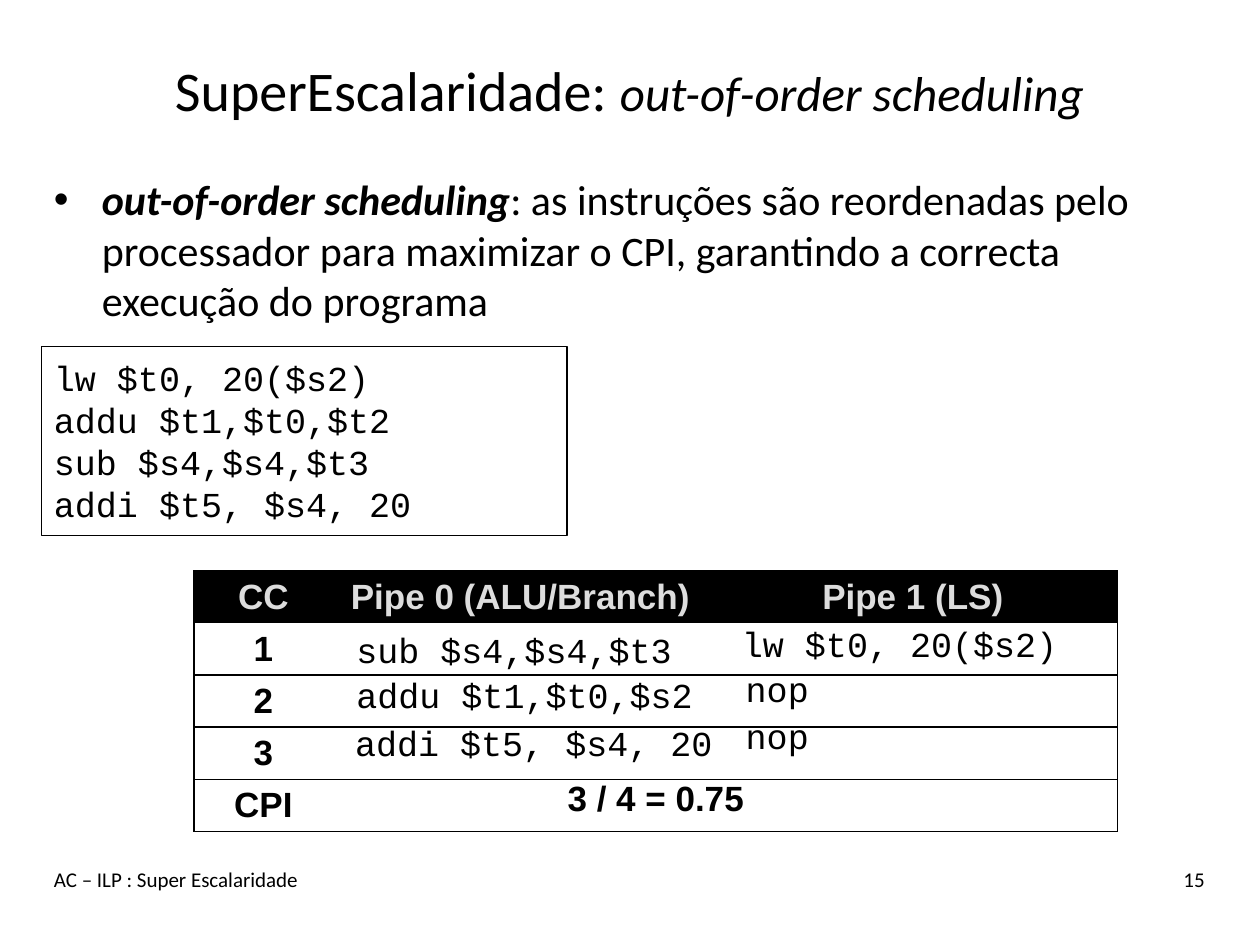
from lxml.etree import SubElement
from pptx import Presentation
from pptx.dml.color import RGBColor
from pptx.enum.shapes import MSO_SHAPE
from pptx.enum.text import MSO_ANCHOR, PP_ALIGN
from pptx.oxml.ns import qn
from pptx.util import Pt

EMU_PER_PX = 9144  # 100 px to the inch
BLACK, GREY = "000000", "DDDDDD"
BODY = {"name": "Calibri", "size": Pt(24)}
FOOTER = {"name": "Calibri", "size": Pt(12)}
CODE = {"name": "Courier New", "size": Pt(20)}
LABEL = {"name": "Arial", "size": Pt(20), "bold": True}
LEFT, CENTER, RIGHT = PP_ALIGN.LEFT, PP_ALIGN.CENTER, PP_ALIGN.RIGHT
TOP, MIDDLE = MSO_ANCHOR.TOP, MSO_ANCHOR.MIDDLE


def px(length):
    return length * EMU_PER_PX


def color(value):
    return RGBColor.from_string(value)


class SlideBuilder:
    def __init__(self, slide, ink=BLACK, line_width=0.75):
        self.slide = slide
        self.ink = ink
        self.line_width = Pt(line_width)

    def add_runs(self, paragraph, runs, align=LEFT, ink=None):
        paragraph.alignment = align
        for text, style in runs:
            run = paragraph.add_run()
            run.text = text
            for key, value in style.items():
                setattr(run.font, key, value)
            run.font.color.rgb = color(ink or self.ink)

    def text(self, box, runs, align=LEFT, anchor=TOP, wrap=True):
        shape = self.slide.shapes.add_textbox(*map(px, box))
        frame = shape.text_frame
        frame.word_wrap = wrap
        frame.vertical_anchor = anchor
        self.add_runs(frame.paragraphs[0], runs, align)
        return frame.paragraphs[0]

    def bullet(self, box, runs, indent):
        paragraph = self.text(box, runs)
        paragraph.space_before = Pt(4.8)
        properties = paragraph._p.get_or_add_pPr()
        properties.set("marL", str(px(indent)))
        properties.set("indent", str(-px(indent)))
        SubElement(properties, qn("a:buFont"), typeface="Arial")
        SubElement(properties, qn("a:buChar"), char="•")

    def code_box(self, box, lines):
        shape = self.slide.shapes.add_shape(MSO_SHAPE.RECTANGLE, *map(px, box))
        shape.shadow.inherit = False
        shape.fill.background()
        shape.line.color.rgb = color(self.ink)
        shape.line.width = self.line_width
        frame = shape.text_frame
        frame.vertical_anchor = MIDDLE
        for index, line in enumerate(lines):
            paragraph = frame.add_paragraph() if index else frame.paragraphs[0]
            self.add_runs(paragraph, [(line, CODE)])

    def borders(self, cell, visible):
        properties = cell._tc.get_or_add_tcPr()
        for position, side in enumerate("LRTB"):
            line = properties.makeelement(qn(f"a:ln{side}"), {"w": str(self.line_width)})
            properties.insert(position, line)
            if side in visible:
                fill = SubElement(line, qn("a:solidFill"))
                SubElement(fill, qn("a:srgbClr"), val=self.ink)
            else:
                SubElement(line, qn("a:noFill"))

    def table(self, left, top, widths, row_height, header, labels):
        rows = [header] + [[label, "", ""] for label in labels]
        frame = self.slide.shapes.add_table(
            len(rows), len(widths), px(left), px(top),
            px(sum(widths)), px(row_height * len(rows)))
        table = frame.table
        table.first_row = table.horz_banding = False
        for column, width in zip(table.columns, widths):
            column.width = px(width)
        last = len(widths) - 1
        table.cell(len(rows) - 1, 1).merge(table.cell(len(rows) - 1, last))
        for row_index, texts in enumerate(rows):
            table.rows[row_index].height = px(row_height)
            for column_index, text in enumerate(texts):
                cell = table.cell(row_index, column_index)
                cell.vertical_anchor = MIDDLE
                cell.margin_top = cell.margin_bottom = px(4)
                if row_index == 0:
                    cell.fill.solid()
                    cell.fill.fore_color.rgb = color(self.ink)
                else:
                    cell.fill.background()
                if text:
                    ink = GREY if row_index == 0 else self.ink
                    self.add_runs(cell.text_frame.paragraphs[0], [(text, LABEL)], CENTER, ink)
                outer = {0: "L", last: "R"}.get(column_index, "")
                if cell.is_merge_origin:
                    outer = "R"
                self.borders(cell, "TB" + outer)


def main():
    presentation = Presentation()
    presentation.slide_width, presentation.slide_height = px(1000), px(750)
    slide = presentation.slides.add_slide(presentation.slide_layouts[6])
    builder = SlideBuilder(slide)

    # Title and main point
    builder.text((33, 25, 933, 92), [
        ("SuperEscalaridade: ", {**BODY, "size": Pt(32)}),
        ("out-of-order scheduling", {**BODY, "size": Pt(28), "italic": True}),
    ], CENTER, MIDDLE)
    builder.bullet((33, 133, 933, 133), [
        ("out-of-order scheduling", {**BODY, "bold": True, "italic": True}),
        (": as instruções são reordenadas pelo processador para maximizar o CPI, "
         "garantindo a correcta execução do programa", BODY),
    ], indent=38)

    # Footer
    builder.text((33, 683, 700, 50), [("AC – ILP : Super Escalaridade", FOOTER)])
    builder.text((833, 683, 133, 50), [("15", FOOTER)], RIGHT)

    # Program in its written order
    builder.code_box((33, 275, 417, 150), [
        "lw $t0, 20($s2)", "addu $t1,$t0,$t2", "sub $s4,$s4,$t3", "addi $t5, $s4, 20"])

    # Schedule by clock cycle
    builder.table(154, 453, (110, 298, 325), 41,
                  ["CC", "Pipe 0 (ALU/Branch)", "Pipe 1 (LS)"], ["1", "2", "3", "CPI"])

    # Instructions laid over the schedule
    for left, top, width, instruction in (
            (579, 489, 273, "lw $t0, 20($s2)"),
            (273, 494, 273, "sub $s4,$s4,$t3"),
            (273, 530, 289, "addu $t1,$t0,$s2"),
            (582, 525, 71, "nop"),
            (582, 562, 71, "nop"),
            (272, 568, 306, "addi $t5, $s4, 20")):
        builder.text((left, top, width, 44), [(instruction, CODE)], wrap=False)
    builder.text((440, 611, 161, 44), [("3 / 4 = 0.75", LABEL)], CENTER, wrap=False)

    presentation.save("out.pptx")


if __name__ == "__main__":
    main()
